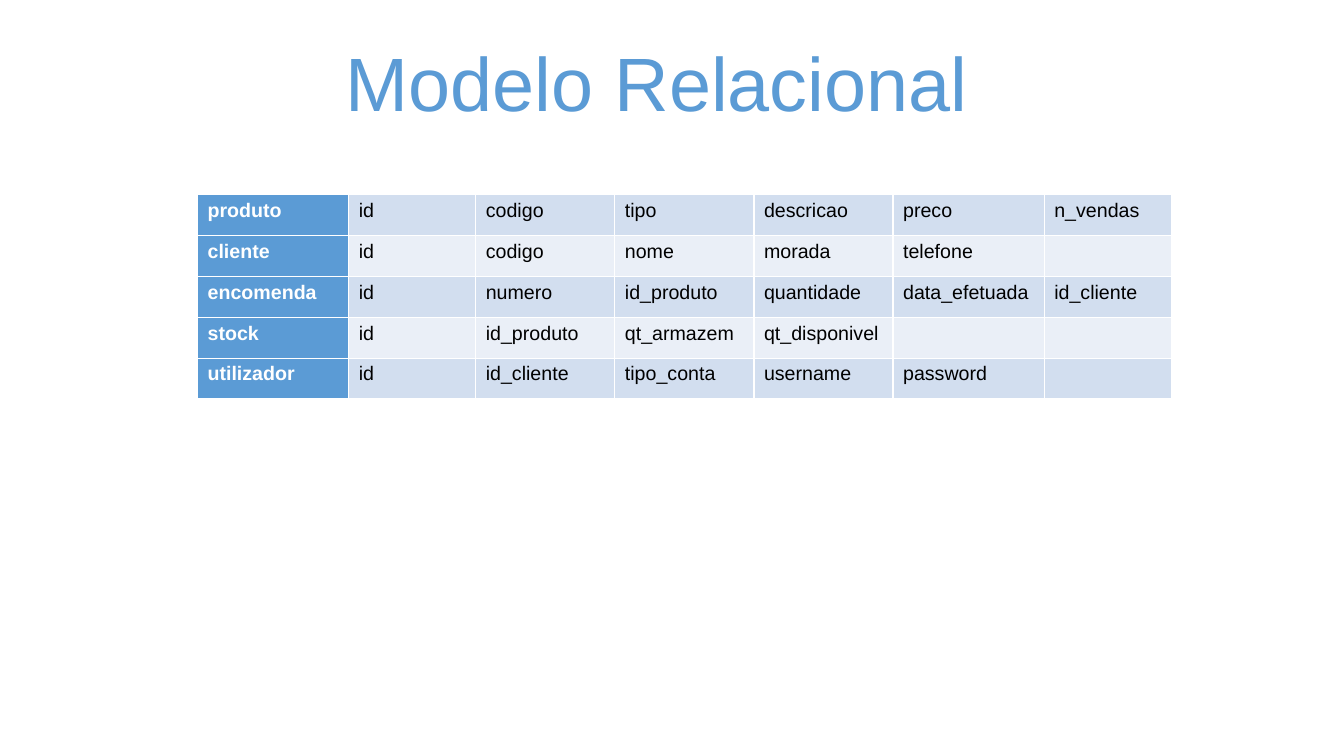
from dataclasses import dataclass

from lxml.etree import SubElement
from pptx import Presentation
from pptx.dml.color import RGBColor
from pptx.enum.text import MSO_AUTO_SIZE, PP_ALIGN
from pptx.oxml.ns import qn
from pptx.slide import Slide
from pptx.table import _Cell
from pptx.text.text import _Paragraph
from pptx.util import Pt

FONT = "Arial"
BLUE, WHITE, BLACK = "5B9BD5", "FFFFFF", "000000"
BANDS = ("D2DEEF", "EAEFF7")
WIDTHS = (108, 90.72, 99.36, 99.36, 99.36, 108, 90.72)
ROW = 29.2


@dataclass(frozen=True)
class Entity:
    name: str
    fields: tuple[str, ...]


ENTITIES = (
    Entity("produto", ("id", "codigo", "tipo", "descricao", "preco", "n_vendas")),
    Entity("cliente", ("id", "codigo", "nome", "morada", "telefone")),
    Entity("encomenda", ("id", "numero", "id_produto", "quantidade",
                         "data_efetuada", "id_cliente")),
    Entity("stock", ("id", "id_produto", "qt_armazem", "qt_disponivel")),
    Entity("utilizador", ("id", "id_cliente", "tipo_conta", "username", "password")),
)


def color(code: str) -> RGBColor:
    return RGBColor.from_string(code)


def style(para: _Paragraph, size: float, code: str, bold: bool = False) -> None:
    font = para.font
    font.name, font.size, font.bold = FONT, Pt(size), bold
    font.color.rgb = color(code)


def border(cell: _Cell) -> None:
    props = cell._tc.get_or_add_tcPr()
    for index, side in enumerate(("a:lnL", "a:lnR", "a:lnT", "a:lnB")):
        line = SubElement(props, qn(side), w=str(Pt(1)))
        fill = SubElement(line, qn("a:solidFill"))
        SubElement(fill, qn("a:srgbClr"), val=WHITE)
        # Borders come before the cell fill
        props.insert(index, line)


def paint(cell: _Cell, text: str, back: str, fore: str, bold: bool) -> None:
    cell.fill.solid()
    cell.fill.fore_color.rgb = color(back)
    border(cell)
    if text:
        cell.text = text
        style(cell.text_frame.paragraphs[0], 14, fore, bold)


def add_title(slide: Slide, text: str) -> None:
    frame = slide.shapes.add_textbox(Pt(237.6), Pt(22.3), Pt(463), Pt(72.7)).text_frame
    frame.word_wrap = False
    frame.auto_size = MSO_AUTO_SIZE.SHAPE_TO_FIT_TEXT
    para = frame.paragraphs[0]
    para.text = text
    para.alignment = PP_ALIGN.CENTER
    style(para, 54, BLUE)


def add_model(slide: Slide, rows: tuple[Entity, ...]) -> None:
    table = slide.shapes.add_table(
        len(rows), len(WIDTHS), Pt(141.1), Pt(139),
        Pt(sum(WIDTHS)), Pt(ROW * len(rows))).table
    table.first_row = False
    table.first_col = True
    for col, width in zip(table.columns, WIDTHS):
        col.width = Pt(width)
    for r, entity in enumerate(rows):
        table.rows[r].height = Pt(ROW)
        paint(table.cell(r, 0), entity.name, BLUE, WHITE, True)
        for c in range(1, len(WIDTHS)):
            text = entity.fields[c - 1] if c <= len(entity.fields) else ""
            paint(table.cell(r, c), text, BANDS[r % 2], BLACK, False)


def main() -> None:
    deck = Presentation()
    deck.slide_width, deck.slide_height = Pt(960), Pt(540)
    slide = deck.slides.add_slide(deck.slide_layouts[6])
    # Heading
    add_title(slide, "Modelo Relacional")
    # One row per entity
    add_model(slide, ENTITIES)
    deck.save("out.pptx")


if __name__ == "__main__":
    main()
